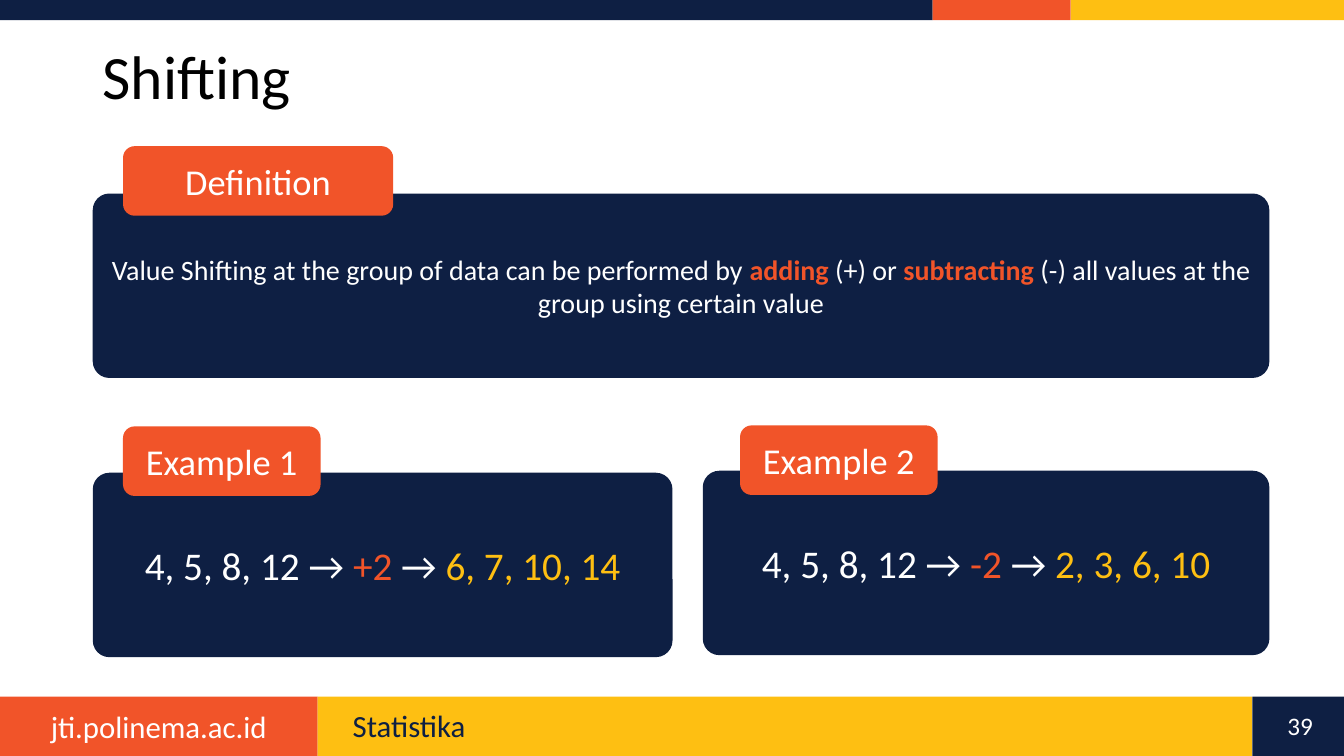
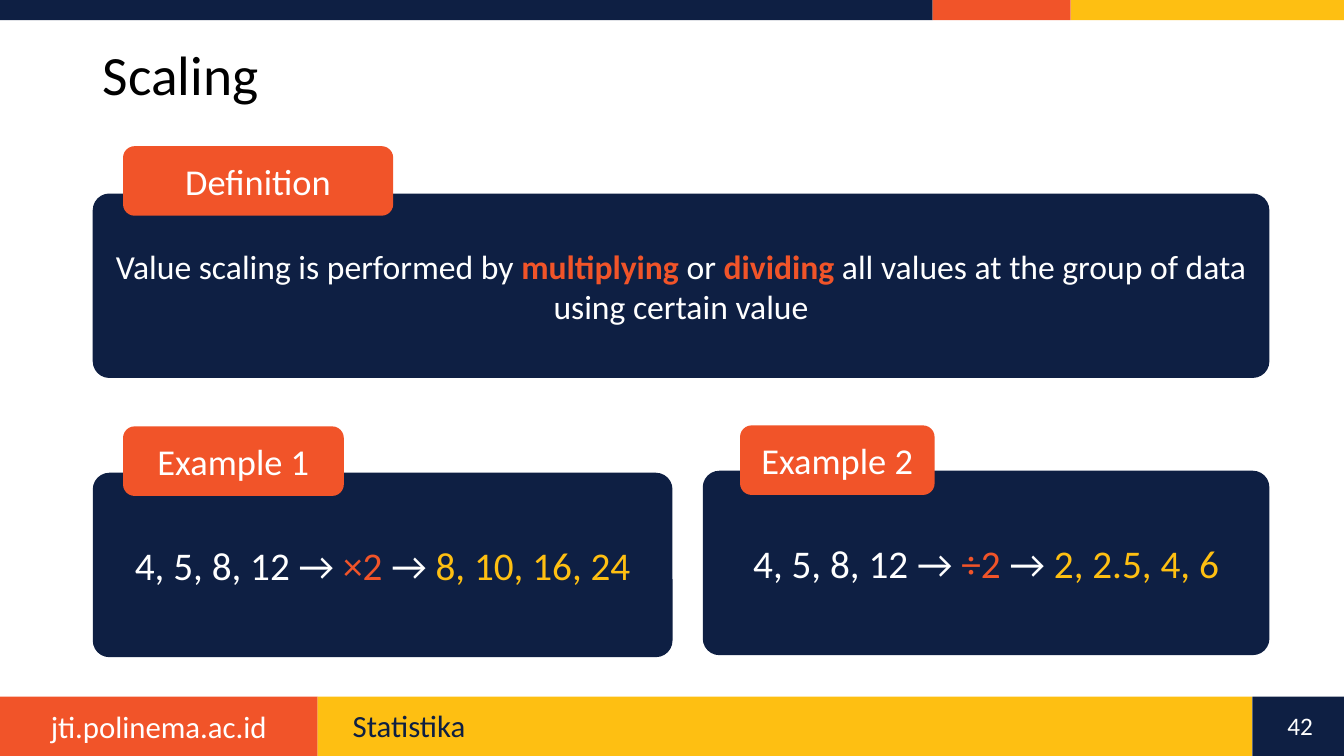
from pptx import Presentation
from pptx.dml.color import RGBColor
from pptx.enum.shapes import MSO_SHAPE
from pptx.enum.text import MSO_ANCHOR, PP_ALIGN
from pptx.util import Inches, Pt

RECT, ROUND = MSO_SHAPE.RECTANGLE, MSO_SHAPE.ROUNDED_RECTANGLE
LEFT, CENTER = PP_ALIGN.LEFT, PP_ALIGN.CENTER
TOP, MIDDLE = MSO_ANCHOR.TOP, MSO_ANCHOR.MIDDLE

FONT = "Calibri"
NAVY, ORANGE, GOLD = "0E1F43", "F15429", "FEBF12"
WHITE, BLACK = "FFFFFF", "000000"
WIDTH, HEIGHT = 13.33, 7.5
EDGE = 0.92
TAB_H, PANEL_H = 0.69, 1.83

# Bands: top, height, and each part's left edge and colour
BANDS = [
    (0, 0.2, [(0, NAVY), (9.25, ORANGE), (10.62, GOLD)]),
    (6.91, 0.59, [(0, ORANGE), (3.15, GOLD), (12.42, NAVY)]),
]

# Panel left, top, width; then tab left, top
FULL = (EDGE, 1.92, 11.67, 1.22, 1.45)
HALVES = [(EDGE, 4.69, 5.75, 1.22, 4.23), (6.97, 4.67, 5.62, 7.34, 4.22)]

# Definition runs alternate between plain and stressed text
SLIDES = [
    {
        "title": "Shifting", "size": 44, "page": "39", "text size": 20,
        "text": ["Value Shifting at the group of data can be performed by ",
                 "adding", " (+) or ", "subtracting",
                 " (-) all values at the group using certain value"],
        "cases": [("+2", "6, 7, 10, 14", 1.96), ("-2", "2, 3, 6, 10", 1.96)],
    },
    {
        "title": "Scaling", "size": 39.6, "page": "42", "text size": 24,
        "text": ["Value scaling is performed by ", "multiplying", " or ",
                 "dividing",
                 " all values at the group of data using certain value"],
        "cases": [("×2", "8, 10, 16, 24", 2.19), ("÷2", "2, 2.5, 4, 6", 1.93)],
    },
]


def color(code):
    return RGBColor.from_string(code)


def write(shape, runs, size, align=CENTER, anchor=MIDDLE, spacing=None):
    """Fill a shape with one paragraph of (text, colour, bold) runs."""
    frame = shape.text_frame
    frame.word_wrap = True
    frame.vertical_anchor = anchor
    para = frame.paragraphs[0]
    para.alignment = align
    para.line_spacing = spacing
    para.font.name = FONT
    para.font.size = Pt(size)
    para.font.color.rgb = color(runs[0][1])
    for text, tint, bold in runs:
        run = para.add_run()
        run.text = text
        if tint != runs[0][1]:
            run.font.color.rgb = color(tint)
        if bold:
            run.font.bold = True


def add_box(slide, kind, box, fill):
    shape = slide.shapes.add_shape(kind, *map(Inches, box))
    shape.shadow.inherit = False
    shape.fill.solid()
    shape.fill.fore_color.rgb = color(fill)
    shape.line.fill.background()
    return shape


def add_label(slide, box, text, size, tint, **style):
    shape = slide.shapes.add_textbox(*map(Inches, box))
    write(shape, [(text, tint, False)], size, **style)


def add_frame(slide, title, size, page):
    """Draw the bands, the footer and the title."""
    for top, height, parts in BANDS:
        ends = [left for left, _ in parts[1:]] + [WIDTH]
        for (left, fill), end in zip(parts, ends):
            add_box(slide, RECT, (left, top, end - left, height), fill)
    add_label(slide, (0, 6.97, 3.15, 0.47), "jti.polinema.ac.id", 22, WHITE,
              anchor=TOP)
    add_label(slide, (3.4, 7, 8.74, 0.4), "Statistika", 22, NAVY,
              align=LEFT, anchor=TOP, spacing=0.9)
    add_label(slide, (12.59, 7, 0.61, 0.4), page, 18, WHITE, anchor=TOP)
    height = 0.78 if size > 40 else 0.74
    add_label(slide, (EDGE, 0.4, 10.24, height), title, size, BLACK,
              align=LEFT, spacing=0.9)


def add_panel(slide, place, tab_w, head, runs, size):
    """Draw a navy panel with an orange tab over its top edge."""
    left, top, width, tab_x, tab_y = place
    panel = add_box(slide, ROUND, (left, top, width, PANEL_H), NAVY)
    panel.adjustments[0] = 0.09
    write(panel, runs, size)
    tab = add_box(slide, ROUND, (tab_x, tab_y, tab_w, TAB_H), ORANGE)
    write(tab, [(head, WHITE, False)], 26)


def add_topic(slide, topic):
    add_frame(slide, topic["title"], topic["size"], topic["page"])

    # Definition
    runs = [(text, ORANGE if i % 2 else WHITE, i % 2 == 1)
            for i, text in enumerate(topic["text"])]
    add_panel(slide, FULL, 2.68, "Definition", runs, topic["text size"])

    # Examples
    pairs = zip(HALVES, topic["cases"])
    for num, (place, (step, result, tab_w)) in enumerate(pairs, 1):
        runs = [("4, 5, 8, 12 → ", WHITE, False), (step, ORANGE, False),
                (" → ", WHITE, False), (result, GOLD, False)]
        add_panel(slide, place, tab_w, f"Example {num}", runs, 28)


def main():
    deck = Presentation()
    deck.slide_width, deck.slide_height = Inches(WIDTH), Inches(HEIGHT)
    for topic in SLIDES:
        add_topic(deck.slides.add_slide(deck.slide_layouts[6]), topic)
    deck.save("out.pptx")


if __name__ == "__main__":
    main()
